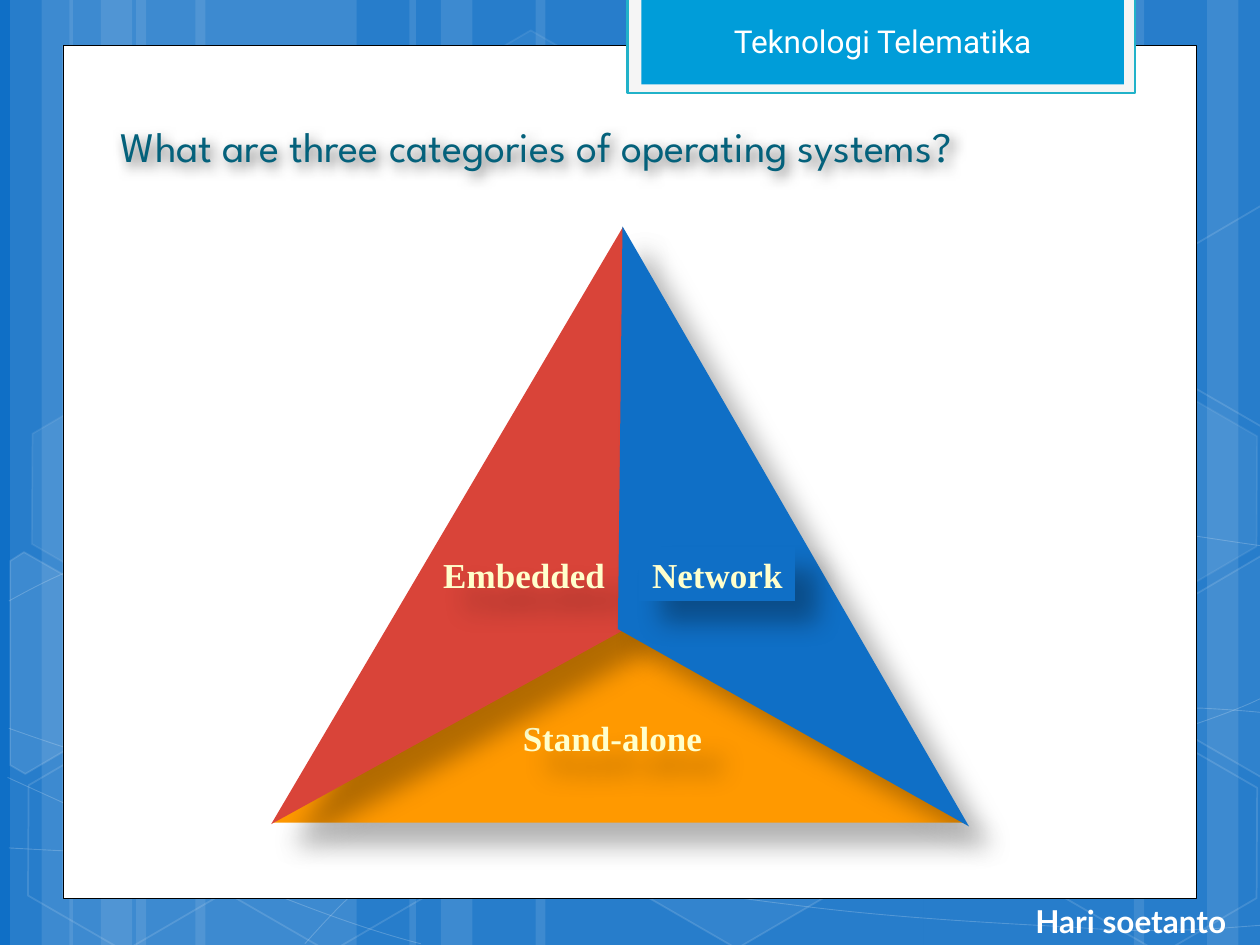
import math
import pptx
import pptx.util
import pptx.dml.color
import pptx.enum.shapes
import pptx.enum.text
import pptx.oxml
import pptx.oxml.ns

Inches = pptx.util.Inches
Pt = pptx.util.Pt
RGBColor = pptx.dml.color.RGBColor
SHAPE = pptx.enum.shapes.MSO_SHAPE
ALIGN = pptx.enum.text.PP_ALIGN
ANCHOR = pptx.enum.text.MSO_ANCHOR
qn = pptx.oxml.ns.qn

WHITE = RGBColor(0xFF, 0xFF, 0xFF)
BLACK = RGBColor(0x00, 0x00, 0x00)
BLUE = RGBColor(0x0F, 0x6F, 0xC6)
ORANGE = RGBColor(0xFF, 0x99, 0x00)
RED = RGBColor(0xD9, 0x44, 0x39)
CREAM = RGBColor(0xFF, 0xFF, 0xCC)
TEAL = RGBColor(0x04, 0x61, 0x7B)
PALE_GREY = RGBColor(0xF5, 0xF5, 0xF5)
TAB_BLUE = RGBColor(0x00, 0x9D, 0xD9)
TAB_BORDER = RGBColor(0x21, 0xB2, 0xC9)


def paint(shape, fill=None, fill_alpha=100, line=None, width=1, line_alpha=100):
    shape.shadow.inherit = False
    if fill is None:
        shape.fill.background()
    else:
        shape.fill.solid()
        shape.fill.fore_color.rgb = fill
    if line is None:
        shape.line.fill.background()
    else:
        shape.line.color.rgb = line
        shape.line.width = Pt(width)
    properties = shape._element.spPr
    for route, alpha in (("a:solidFill", fill_alpha), ("a:ln/a:solidFill", line_alpha)):
        solid = properties.find("/".join(qn(step) for step in route.split("/")))
        if solid is not None and alpha < 100:
            solid[0].append(pptx.oxml.parse_xml(
                f'<a:alpha {pptx.oxml.ns.nsdecls("a")} val="{alpha * 1000}"/>'))


def cast_shadow(shape, alpha=30, blur=15, distance=18, angle=45):
    shape.shadow.inherit = False
    effects = shape._element.spPr.find(qn("a:effectLst"))
    effects.append(pptx.oxml.parse_xml(
        f'<a:outerShdw {pptx.oxml.ns.nsdecls("a")} blurRad="{Pt(blur)}" dist="{Pt(distance)}" '
        f'dir="{angle * 60000}" algn="ctr" rotWithShape="0"><a:srgbClr val="000000">'
        f'<a:alpha val="{alpha * 1000}"/></a:srgbClr></a:outerShdw>'))


presentation = pptx.Presentation()
presentation.slide_width = Inches(10)
presentation.slide_height = Inches(7.5)
slide = presentation.slides.add_slide(presentation.slide_layouts[5])
slide.background.fill.solid()
slide.background.fill.fore_color.rgb = BLUE
shapes = slide.shapes
backdrop = shapes.add_group_shape().shapes

stripes = [(1.08, 1.75), (0.08, 0.5), (0.33, 0.83), (1.55, 1.75), (0.55, 0.5), (0.8, 0.83),
           (7.33, 1.75), (9.58, 0.5), (9, 0.83), (4.25, 3.08), (3.25, 0.5), (3.5, 0.83)]
for left, width in stripes:
    stripe = backdrop.add_shape(SHAPE.RECTANGLE, Inches(left), 0, Inches(width), Inches(7.5))
    paint(stripe, WHITE, 10)

curves = [
    [(0.07, 6.73), (0.61, 6.76), (1.15, 6.79), (1.9, 6.78), (2.65, 6.77), (3.58, 6.75),
     (4.58, 6.65), (5.58, 6.55), (7, 6.36), (7.92, 6.17), (8.83, 5.98), (9.77, 5.68), (10.07, 5.51)],
    [(0.07, 4.77), (0.36, 4.61), (0.65, 4.46), (1.21, 4.31), (1.78, 4.16), (2.59, 3.94),
     (3.47, 3.87), (4.36, 3.8), (5.44, 3.79), (6.54, 3.87), (7.64, 3.95), (9.47, 4.26), (10.07, 4.34)],
    [(0.06, 6.17), (1.27, 6.72), (2.47, 7.27), (3.34, 7.49)],
    [(0.07, 5.78), (0.38, 5.89), (0.7, 6), (1.28, 6.16), (1.86, 6.31), (2.73, 6.56),
     (3.57, 6.73), (4.4, 6.9), (5.45, 7.08), (6.28, 7.18), (7.11, 7.29), (8, 7.33),
     (8.53, 7.36), (9.05, 7.4), (9.19, 7.38), (9.45, 7.38), (9.71, 7.37), (9.89, 7.35), (10.07, 7.34)],
    [(2.42, 7.49), (2.6, 7.29), (2.78, 7.09), (3.02, 6.91), (3.26, 6.73), (3.6, 6.53),
     (3.88, 6.39), (4.16, 6.25), (4.33, 6.19), (4.7, 6.09), (5.06, 5.99), (5.73, 5.85),
     (6.08, 5.78), (6.44, 5.71), (6.49, 5.71), (6.8, 5.69), (7.11, 5.66), (7.6, 5.63),
     (7.94, 5.62), (8.29, 5.61), (8.86, 5.62), (8.86, 5.62), (9.08, 5.62), (9.3, 5.62),
     (9.53, 5.62), (9.71, 5.63), (9.88, 5.64), (10.06, 5.66)],
]
for curve in curves:
    points = [(Inches(x), Inches(y)) for x, y in curve]
    builder = backdrop.build_freeform(*points[0])
    builder.add_line_segments(points[1:], close=False)
    wave = builder.convert_to_shape()
    paint(wave, line=WHITE, width=0.5, line_alpha=20)
    segments = list(wave._element.spPr.iter(qn("a:lnTo")))
    for start in range(0, len(segments), 3):
        bezier = pptx.oxml.parse_xml(f'<a:cubicBezTo {pptx.oxml.ns.nsdecls("a")}/>')
        segments[start].addprevious(bezier)
        for segment in segments[start:start + 3]:
            bezier.append(segment[0])
            segment.getparent().remove(segment)

hexagons = [(3.34, 0.36, 4, 8), (4.97, 5.89, 6, 12), (0.11, 5.91, 0, 12), (0.14, 3.12, 7, 8),
            (1.74, 5.92, 0, 12), (7.53, 4.53, 10, 12), (8.34, 5.93, 0, 12), (8.34, 3.14, 7, 8)]
for left, top, fill_alpha, line_alpha in hexagons:
    hexagon = backdrop.add_shape(SHAPE.HEXAGON, Inches(left), Inches(top), Inches(1.75), Inches(1.52))
    hexagon.adjustments[0] = 0.285
    hexagon.adjustments[1] = 1.155
    hexagon.rotation = 30
    paint(hexagon, WHITE if fill_alpha else None, fill_alpha, WHITE, 1, line_alpha)

cut_hexagons = [
    (0.36, 5.35, 10, [(0.08, 4.45), (0.19, 4.38), (0.96, 4.82), (0.95, 5.7), (0.2, 6.14), (0.08, 6.07)]),
    (9.85, 5.2, 4, [(9.26, 4.85), (10.01, 4.41), (10.09, 4.46), (10.09, 6.13), (10.02, 6.17), (9.26, 5.73)]),
    (9.85, 2.41, 0, [(9.26, 2.07), (10.01, 1.63), (10.1, 1.68), (10.09, 3.35), (10.02, 3.39), (9.26, 2.95)]),
]
cosine, sine = math.cos(math.radians(30)), math.sin(math.radians(30))
for center_x, center_y, fill_alpha, corners in cut_hexagons:
    points = [(Inches(center_x + (x - center_x) * cosine + (y - center_y) * sine),
               Inches(center_y - (x - center_x) * sine + (y - center_y) * cosine)) for x, y in corners]
    builder = backdrop.build_freeform(*points[0])
    builder.add_line_segments(points[1:], close=True)
    cut_hexagon = builder.convert_to_shape()
    cut_hexagon.rotation = 30
    paint(cut_hexagon, WHITE if fill_alpha else None, fill_alpha, WHITE, 1, 12)

panel = shapes.add_shape(SHAPE.RECTANGLE, Inches(0.5), Inches(0.36), Inches(9), Inches(6.77))
paint(panel, WHITE, line=BLACK, width=0.5)
tab_frame = shapes.add_shape(SHAPE.RECTANGLE, Inches(4.98), Inches(-0.02), Inches(4.03), Inches(0.76))
paint(tab_frame, PALE_GREY, line=TAB_BORDER, width=1.25)
tab = shapes.add_shape(SHAPE.RECTANGLE, Inches(5.09), Inches(-0.02), Inches(3.83), Inches(0.69))
paint(tab, TAB_BLUE)
tab.text_frame.vertical_anchor = ANCHOR.MIDDLE
paragraph = tab.text_frame.paragraphs[0]
paragraph.text = "Teknologi Telematika"
paragraph.alignment = ALIGN.CENTER
paragraph.font.size = Pt(18)
paragraph.font.name = "Roboto"
paragraph.font.color.rgb = WHITE

title = shapes.title
shapes._spTree.append(title._element)
title.left, title.top, title.width, title.height = Inches(0.78), Inches(0.91), Inches(8.33), Inches(0.89)
title.text_frame.auto_size = pptx.enum.text.MSO_AUTO_SIZE.NONE
title.text_frame.vertical_anchor = ANCHOR.TOP
paragraph = title.text_frame.paragraphs[0]
paragraph.text = "What are three categories of operating systems?"
paragraph.alignment = ALIGN.LEFT
paragraph._p.get_or_add_pPr().set("marL", str(Inches(0.38)))
paragraph._p.get_or_add_pPr().set("indent", str(Inches(-0.3)))
paragraph.font.size = Pt(24)
paragraph.font.name = "League Spartan"
paragraph.font.color.rgb = TEAL
cast_shadow(title, alpha=60, blur=7, distance=3, angle=50)

facets = [
    (2.17, 4.9, 0, ORANGE, "Stand-alone", 4.05, 5.64, 1.62, None),
    (1.5, 3.77, 120.5, RED, "Embedded", 3.33, 4.34, 1.57, None),
    (2.86, 3.77, 240, BLUE, "Network", 5.07, 4.34, 1.24, BLUE),
]
pyramid = shapes.add_group_shape().shapes
for left, top, rotation, color, name, label_left, label_top, label_width, label_fill in facets:
    triangle = pyramid.add_shape(SHAPE.ISOSCELES_TRIANGLE, Inches(left), Inches(top), Inches(5.5), Inches(1.63))
    triangle.rotation = rotation
    paint(triangle, color)
    cast_shadow(triangle)
    label = pyramid.add_textbox(Inches(label_left), Inches(label_top), Inches(label_width), Inches(0.43))
    paint(label, label_fill)
    cast_shadow(label)
    label.text_frame.word_wrap = name == "Embedded"
    paragraph = label.text_frame.paragraphs[0]
    paragraph.text = name
    paragraph.alignment = ALIGN.RIGHT
    paragraph.font.size = Pt(20)
    paragraph.font.bold = True
    paragraph.font.name = "Times New Roman"
    paragraph.font.color.rgb = CREAM

author = shapes.add_textbox(Inches(6), Inches(7.11), Inches(3.83), Inches(0.4))
author.text_frame.word_wrap = True
author.text_frame.vertical_anchor = ANCHOR.MIDDLE
paragraph = author.text_frame.paragraphs[0]
paragraph.text = "Hari soetanto"
paragraph.alignment = ALIGN.RIGHT
paragraph.font.size = Pt(18)
paragraph.font.bold = True
paragraph.font.name = "Lato"
paragraph.font.color.rgb = WHITE

presentation.save("out.pptx")
